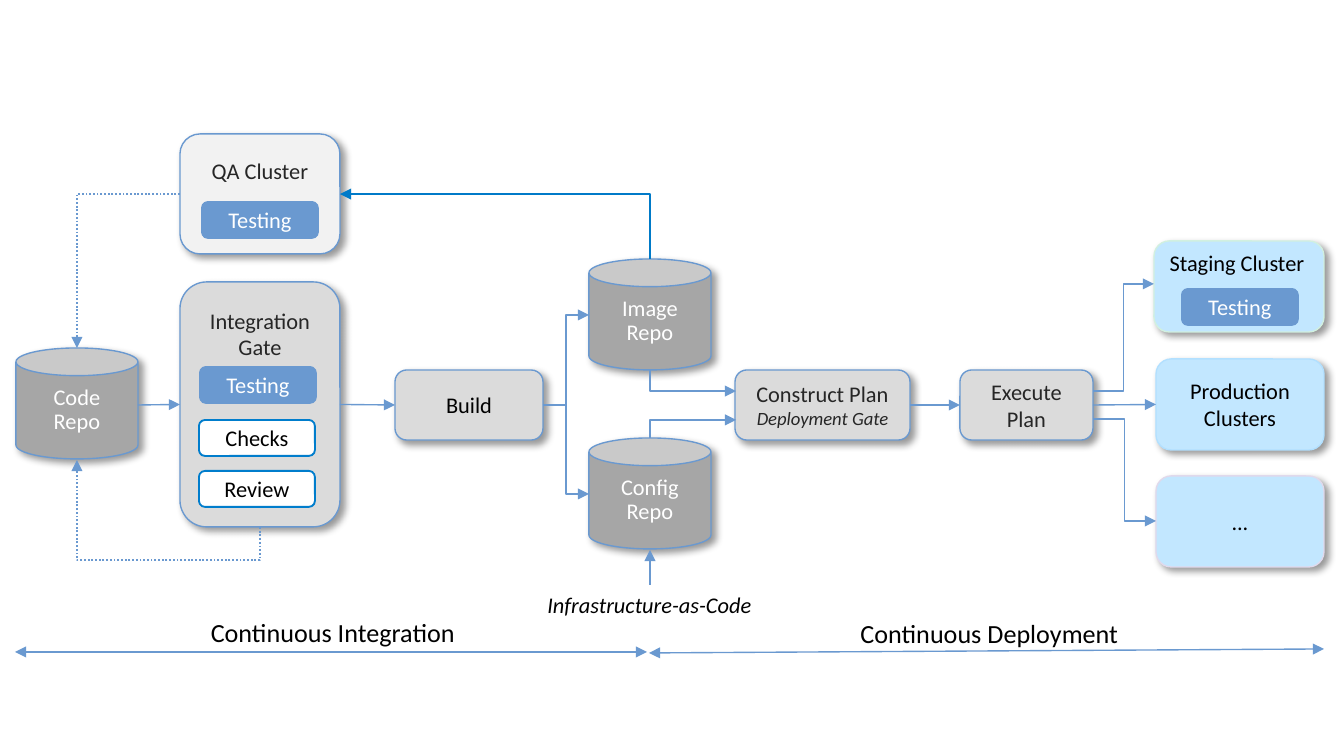
"""Build a continuous integration and deployment pipeline slide."""
from dataclasses import dataclass
from typing import Optional

from lxml.etree import SubElement
from pptx import Presentation
from pptx.dml.color import RGBColor
from pptx.enum.dml import MSO_LINE
from pptx.enum.shapes import MSO_CONNECTOR, MSO_SHAPE
from pptx.enum.text import MSO_ANCHOR, PP_ALIGN
from pptx.oxml.ns import qn
from pptx.util import Emu, Pt

SCALE = 914400 / 134.4

BLACK = RGBColor(0x00, 0x00, 0x00)
WHITE = RGBColor(0xFF, 0xFF, 0xFF)
INK = RGBColor(0x26, 0x26, 0x26)
BLUE = RGBColor(0x6A, 0x99, 0xD0)
STRONG_BLUE = RGBColor(0x00, 0x7D, 0xCC)
FEEDBACK_BLUE = RGBColor(0x00, 0x7A, 0xC8)
SKY = RGBColor(0xC2, 0xE7, 0xFF)
SKY_EDGE = RGBColor(0xB2, 0xE0, 0xFF)
MINT_EDGE = RGBColor(0xD1, 0xF0, 0xE0)
LILAC_EDGE = RGBColor(0xE0, 0xD9, 0xEC)
PALE_GREY = RGBColor(0xF2, 0xF2, 0xF2)
GREY = RGBColor(0xDB, 0xDB, 0xDB)
DARK_GREY = RGBColor(0xA6, 0xA6, 0xA6)


@dataclass(frozen=True)
class Box:
    key: str
    left: int
    top: int
    width: int
    height: int
    text: str = ""
    fill: RGBColor = GREY
    edge: RGBColor = BLUE
    ink: RGBColor = INK
    kind: MSO_SHAPE = MSO_SHAPE.ROUNDED_RECTANGLE
    anchor: MSO_ANCHOR = MSO_ANCHOR.MIDDLE
    subtitle: str = ""
    spacing: float = 1.0
    edge_width: float = 0.75
    shadow: bool = True


@dataclass(frozen=True)
class Label:
    left: int
    top: int
    width: int
    height: int
    text: str
    size: int = 12
    italic: bool = False


@dataclass(frozen=True)
class Arrow:
    start: tuple[int, int]
    end: tuple[int, int]
    source: str = ""
    target: str = ""
    both_ends: bool = False


@dataclass(frozen=True)
class Elbow:
    start: tuple[int, int]
    end: tuple[int, int]
    single_bend: bool = False
    vertical: bool = False
    bend: Optional[int] = None
    color: RGBColor = BLUE
    dotted: bool = False


def repo(key: str, left: int, top: int) -> Box:
    return Box(key, left, top, 122, 111, f"{key}\nRepo", DARK_GREY, ink=WHITE,
               kind=MSO_SHAPE.CAN, spacing=0.9)


def testing(key: str, left: int, top: int) -> Box:
    return Box(key, left, top, 116, 36, "Testing", BLUE, ink=WHITE, edge_width=1, shadow=False)


def manual_step(text: str, top: int) -> Box:
    return Box(text, 199, top, 116, 36, text, WHITE, STRONG_BLUE, BLACK, edge_width=1, shadow=False)


BOXES = [
    Box("Gate", 180, 282, 160, 245, "Integration\nGate", anchor=MSO_ANCHOR.TOP),
    Box("QA", 180, 134, 160, 120, "QA Cluster", PALE_GREY, anchor=MSO_ANCHOR.TOP),
    Box("Build", 395, 370, 148, 70, "Build", ink=BLACK),
    Box("Construct", 735, 370, 175, 70, "Construct Plan", subtitle="Deployment Gate"),
    Box("Execute", 960, 370, 133, 70, "Execute\nPlan"),
    Box("Staging", 1154, 241, 170, 91, fill=SKY, edge=MINT_EDGE),
    Box("Production", 1156, 359, 168, 91, "Production Clusters", SKY, SKY_EDGE, BLACK),
    Box("Other", 1156, 476, 168, 91, "...", SKY, LILAC_EDGE, BLACK),
    repo("Code", 16, 348),
    repo("Image", 589, 259),
    repo("Config", 589, 438),
    testing("Gate testing", 200, 367),
    testing("QA testing", 202, 202),
    testing("Staging testing", 1182, 289),
    manual_step("Checks", 420),
    manual_step("Review", 471),
]

LABELS = [
    Label(845, 611, 289, 46, "Continuous Deployment", size=14),
    Label(195, 610, 276, 46, "Continuous Integration", size=14),
    Label(533, 585, 233, 40, "Infrastructure-as-Code", italic=True),
    Label(1155, 243, 164, 40, "Staging Cluster"),
]

ARROWS = [
    Arrow((138, 405), (180, 405), target="Gate"),
    Arrow((340, 405), (395, 405), "Gate", "Build"),
    Arrow((910, 405), (960, 405), "Construct", "Execute"),
    Arrow((1093, 405), (1156, 405), "Execute", "Production"),
    Arrow((650, 585), (650, 550)),
    Arrow((15, 652), (647, 652), both_ends=True),
    Arrow((649, 653), (1324, 649), both_ends=True),
]

ELBOWS = [
    Elbow((260, 527), (77, 460), vertical=True, bend=-49900, dotted=True),
    Elbow((180, 194), (77, 348), single_bend=True, dotted=True),
    Elbow((650, 259), (340, 194), single_bend=True, vertical=True, color=FEEDBACK_BLUE),
    Elbow((543, 405), (589, 315)),
    Elbow((543, 405), (589, 494)),
    Elbow((650, 370), (736, 391), single_bend=True, vertical=True),
    Elbow((650, 438), (736, 420), single_bend=True, vertical=True),
    Elbow((1093, 391), (1154, 284)),
    Elbow((1093, 419), (1156, 521)),
]


def px(length: float) -> Emu:
    return Emu(round(length * SCALE))


def write(frame, text: str, *, color=BLACK, size=12, italic=False, spacing=1.0, append=False) -> None:
    for index, line in enumerate(text.split("\n")):
        paragraph = frame.add_paragraph() if append or index else frame.paragraphs[0]
        paragraph.alignment = PP_ALIGN.CENTER
        paragraph.line_spacing = spacing
        run = paragraph.add_run()
        run.text = line
        run.font.name = "Calibri"
        run.font.size = Pt(size)
        run.font.italic = italic
        run.font.color.rgb = color


def draw_box(slide, box: Box):
    shape = slide.shapes.add_shape(box.kind, px(box.left), px(box.top), px(box.width), px(box.height))
    shape.fill.solid()
    shape.fill.fore_color.rgb = box.fill
    shape.line.color.rgb = box.edge
    shape.line.width = Pt(box.edge_width)
    shape.shadow.inherit = False
    if box.shadow:
        effects = shape._element.spPr.find(qn("a:effectLst"))
        shadow = SubElement(effects, qn("a:outerShdw"), blurRad="50800", dist="38100",
                            dir="2700000", algn="tl", rotWithShape="0")
        color = SubElement(shadow, qn("a:srgbClr"), val="000000")
        SubElement(color, qn("a:alpha"), val="40000")
    if box.text:
        frame = shape.text_frame
        frame.word_wrap = True
        frame.vertical_anchor = box.anchor
        frame.margin_left = frame.margin_right = frame.margin_top = frame.margin_bottom = px(17)
        write(frame, box.text, color=box.ink, spacing=box.spacing)
        if box.subtitle:
            write(frame, box.subtitle, color=box.ink, size=10, italic=True, append=True)
    return shape


def draw_label(slide, label: Label) -> None:
    shape = slide.shapes.add_textbox(px(label.left), px(label.top), px(label.width), px(label.height))
    shape.text_frame.word_wrap = False
    write(shape.text_frame, label.text, size=label.size, italic=label.italic)


def style_line(connector, color=BLUE, dotted=False, both_ends=False) -> None:
    connector.line.color.rgb = color
    connector.line.width = Pt(1 if dotted else 0.75)
    if dotted:
        connector.line.dash_style = MSO_LINE.ROUND_DOT
    line = connector.line._get_or_add_ln()
    if both_ends:
        SubElement(line, qn("a:headEnd"), type="triangle")
    SubElement(line, qn("a:tailEnd"), type="triangle")
    SubElement(connector._element.spPr, qn("a:effectLst"))


def draw_arrow(slide, arrow: Arrow, shapes: dict) -> None:
    connector = slide.shapes.add_connector(MSO_CONNECTOR.STRAIGHT, *map(px, arrow.start + arrow.end))
    if arrow.source:
        connector.begin_connect(shapes[arrow.source], 3)
    if arrow.target:
        connector.end_connect(shapes[arrow.target], 1)
    style_line(connector, both_ends=arrow.both_ends)


def draw_elbow(slide, elbow: Elbow) -> None:
    (x1, y1), (x2, y2) = elbow.start, elbow.end
    if elbow.vertical:
        middle_x, middle_y = (x1 + x2) / 2, (y1 + y2) / 2
        half_x, half_y = (y2 - y1) / 2, (x1 - x2) / 2
        x1, x2 = middle_x - half_x, middle_x + half_x
        y1, y2 = middle_y - half_y, middle_y + half_y
    connector = slide.shapes.add_connector(MSO_CONNECTOR.ELBOW, px(x1), px(y1), px(x2), px(y2))
    properties = connector._element.spPr
    geometry = properties.find(qn("a:prstGeom"))
    if elbow.vertical:
        properties.find(qn("a:xfrm")).set("rot", "5400000")
    if elbow.single_bend:
        geometry.set("prst", "bentConnector2")
    if elbow.bend is not None:
        SubElement(geometry.find(qn("a:avLst")), qn("a:gd"), name="adj1", fmla=f"val {elbow.bend}")
    style_line(connector, elbow.color, elbow.dotted)


def main() -> None:
    presentation = Presentation()
    presentation.slide_width, presentation.slide_height = px(1344), px(756)
    slide = presentation.slides.add_slide(presentation.slide_layouts[6])
    shapes = {box.key: draw_box(slide, box) for box in BOXES}
    for label in LABELS:
        draw_label(slide, label)
    for arrow in ARROWS:
        draw_arrow(slide, arrow, shapes)
    for elbow in ELBOWS:
        draw_elbow(slide, elbow)
    presentation.save("out.pptx")


if __name__ == "__main__":
    main()
